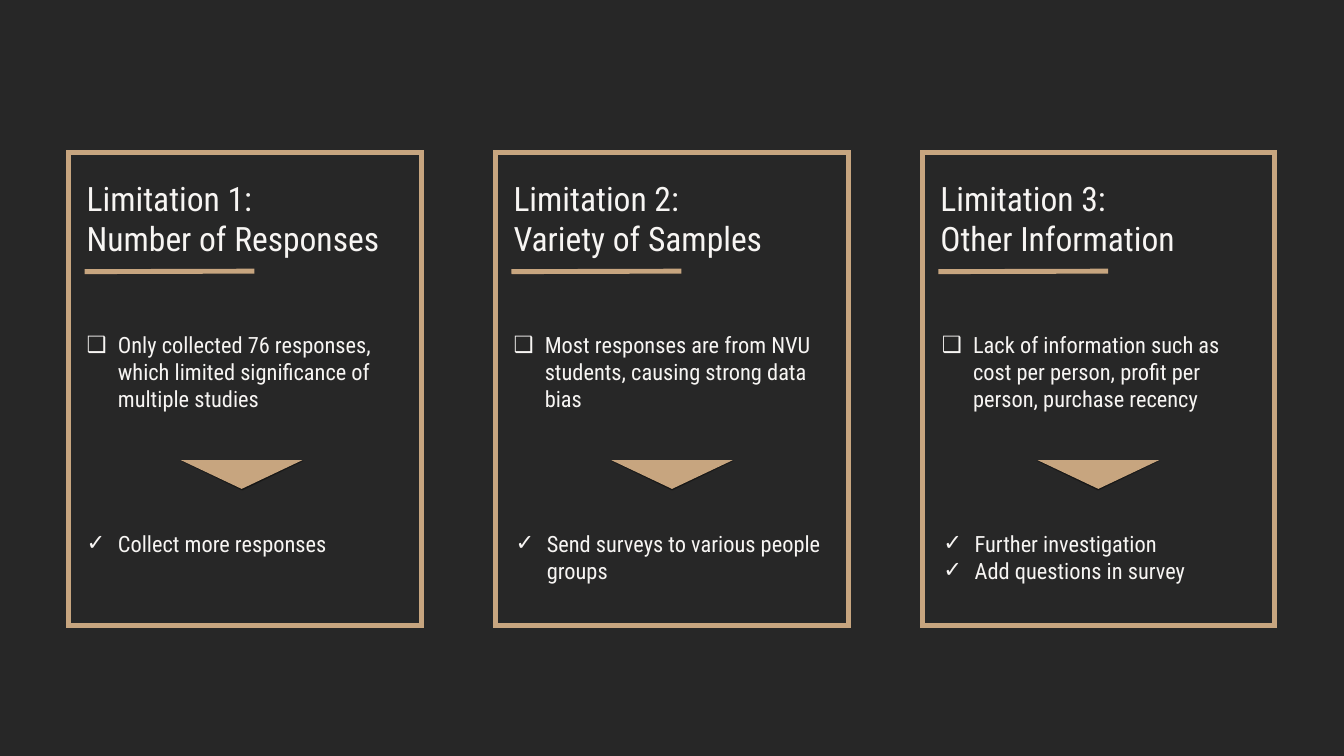
import pptx
import pptx.dml.color
import pptx.enum.shapes
import pptx.enum.text
import pptx.oxml
import pptx.oxml.ns
import pptx.util

TAN = "C7A57F"
CREAM = "F7F5F3"
CHARCOAL = "272727"
FONT = "Roboto Condensed"
HANGING = pptx.util.Inches(0.62)

CARDS = [
    {"heading": "Limitation 1:\nNumber of Responses",
     "limits": "Only collected 76 responses, which limited significance of multiple studies",
     "fixes": "Collect more responses",
     "limits_x": 0.32, "fixes_x": 0.32, "arrow_x": 2.23},
    {"heading": "Limitation 2:\nVariety of Samples",
     "limits": "Most responses are from NVU students, causing strong data bias",
     "fixes": "Send surveys to various people groups",
     "limits_x": 0.32, "fixes_x": 0.36, "arrow_x": 2.3},
    {"heading": "Limitation 3:\nOther Information",
     "limits": "Lack of information such as cost per person, profit per person, purchase recency",
     "fixes": "Further investigation\nAdd questions in survey",
     "limits_x": 0.35, "fixes_x": 0.38, "arrow_x": 2.29},
]


def paint(color_format, value):
    color_format.rgb = pptx.dml.color.RGBColor.from_string(value)


def add_xml(parent, tag, content="", **attributes):
    listed = " ".join(f'{name}="{value}"' for name, value in attributes.items())
    namespace = pptx.oxml.ns.nsdecls("a")
    parent.append(pptx.oxml.parse_xml(f"<a:{tag} {namespace} {listed}>{content}</a:{tag}>"))


def outline(shape):
    paint(shape.line.color, TAN)
    shape.line.width = pptx.util.Pt(7)
    add_xml(shape.line._get_or_add_ln(), "miter", lim=800000)


def write(holder, box, text, size, anchor, bullet=None):
    holder.left, holder.top, holder.width, holder.height = map(pptx.util.Inches, box)
    frame = holder.text_frame
    frame.text = text
    frame.word_wrap = True
    frame.auto_size = pptx.enum.text.MSO_AUTO_SIZE.NONE
    frame.vertical_anchor = anchor
    frame.margin_left = frame.margin_right = pptx.util.Inches(0.04)
    frame.margin_top = frame.margin_bottom = pptx.util.Inches(0.04)
    for paragraph in frame.paragraphs:
        paragraph.alignment = pptx.enum.text.PP_ALIGN.LEFT
        paragraph.line_spacing = 1.0
        paragraph.space_before = paragraph.space_after = pptx.util.Pt(0)
        if bullet:
            properties = paragraph._p.get_or_add_pPr()
            properties.set("marL", str(HANGING))
            properties.set("indent", str(-HANGING))
            add_xml(properties, "buFont", typeface="Arial")
            add_xml(properties, "buChar", char=bullet)
        for run in paragraph.runs:
            run.font.name = FONT
            run.font.size = pptx.util.Pt(size)
            run.font.bold = False
            paint(run.font.color, CREAM)


def add_arrow(slide, box):
    arrow = slide.shapes.add_shape(
        pptx.enum.shapes.MSO_SHAPE.ISOSCELES_TRIANGLE, *map(pptx.util.Inches, box))
    arrow.rotation = 180
    arrow.fill.solid()
    paint(arrow.fill.fore_color, TAN)
    arrow.line.fill.background()
    arrow.shadow.inherit = False
    effects = arrow._element.spPr.find(pptx.oxml.ns.qn("a:effectLst"))
    add_xml(effects, "outerShdw",
            '<a:srgbClr val="000000"><a:alpha val="50000"/></a:srgbClr>',
            blurRad=pptx.util.Pt(1), dist=pptx.util.Pt(1), dir=5400000, rotWithShape=0)


def add_card(slide, box, card, holders):
    left, top, width, height = box
    border = slide.shapes.add_shape(
        pptx.enum.shapes.MSO_SHAPE.RECTANGLE, *map(pptx.util.Inches, box))
    border.fill.background()
    border.shadow.inherit = False
    outline(border)

    anchors = pptx.enum.text.MSO_ANCHOR
    inner = left + 0.32
    text_width = width - 0.64
    write(holders["heading"], (inner, top + 0.21, text_width, 1.94),
          card["heading"], 48, anchors.BOTTOM)
    ends = (inner, top + 2.37, inner + 3.37, top + 2.36)
    underline = slide.shapes.add_connector(
        pptx.enum.shapes.MSO_CONNECTOR.STRAIGHT, *map(pptx.util.Inches, ends))
    outline(underline)
    add_xml(underline._element.spPr, "effectLst")

    write(holders["limits"], (left + card["limits_x"], top + 3.38, text_width, 1.94),
          card["limits"], 32, anchors.MIDDLE, "❑")
    add_arrow(slide, (left + card["arrow_x"], top + 6.11, 2.41, 0.57))
    write(holders["fixes"], (left + card["fixes_x"], top + 7.45, text_width, 1.58),
          card["fixes"], 32, anchors.TOP, "✓")


def main():
    deck = pptx.Presentation()
    deck.slide_width, deck.slide_height = pptx.util.Inches(26.67), pptx.util.Inches(15)
    slide = deck.slides.add_slide(deck.slide_layouts.get_by_name("Comparison"))
    slide.background.fill.solid()
    paint(slide.background.fill.fore_color, CHARCOAL)

    def new_textbox():
        return slide.shapes.add_textbox(0, 0, 0, 0)

    headings = [slide.placeholders[idx] for idx in (0, 1, 3)]
    limits = [slide.placeholders[2], slide.placeholders[4], new_textbox()]
    for column, card in enumerate(CARDS):
        holders = {"heading": headings[column], "limits": limits[column],
                   "fixes": new_textbox()}
        add_card(slide, (1.36 + column * 8.47, 3.02, 7, 9.4), card, holders)

    deck.save("out.pptx")


if __name__ == "__main__":
    main()
